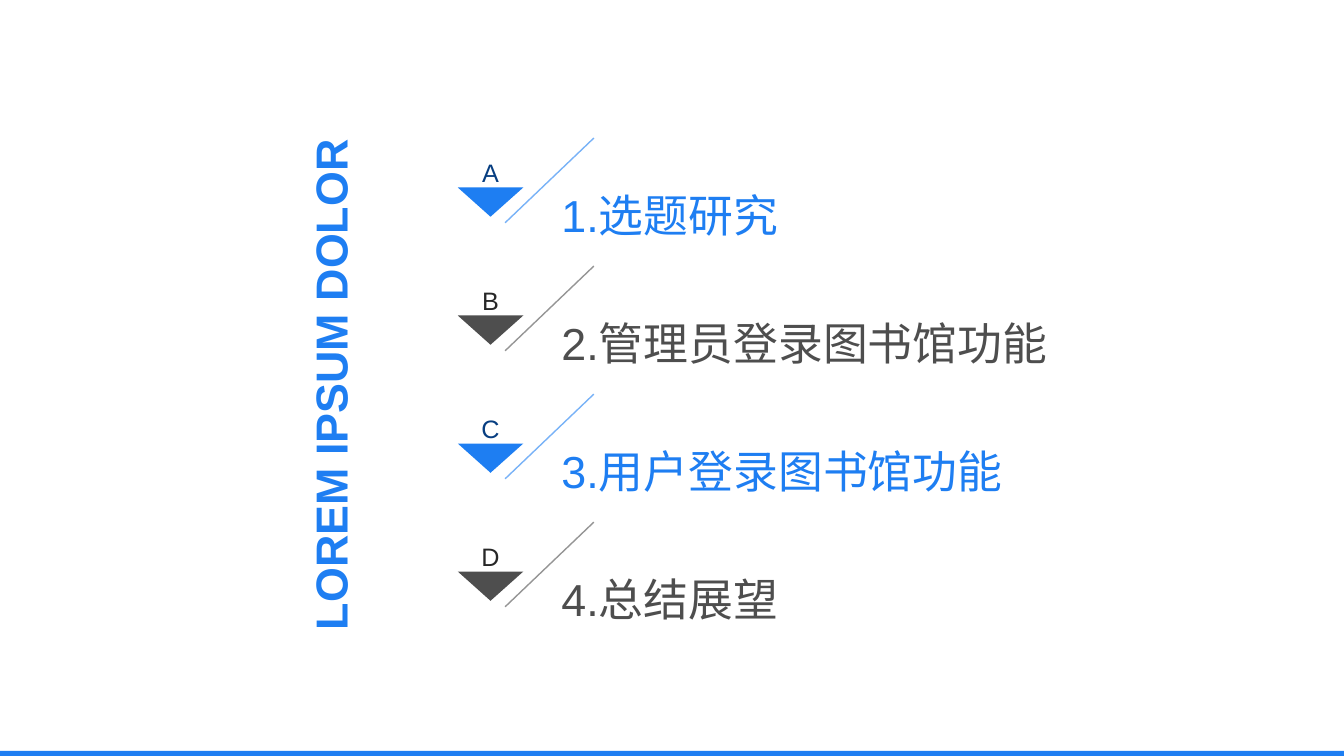
import pptx
import pptx.dml.color
import pptx.enum.shapes
import pptx.enum.text
import pptx.oxml.ns
import pptx.util
from lxml import etree

Inches = pptx.util.Inches
RGBColor = pptx.dml.color.RGBColor
PP_ALIGN = pptx.enum.text.PP_ALIGN
MSO_ANCHOR = pptx.enum.text.MSO_ANCHOR

BLUE = RGBColor(0x1E, 0x7E, 0xF2)
LIGHT_BLUE = RGBColor(0x78, 0xB2, 0xF7)
DARK_BLUE = RGBColor(0x07, 0x3E, 0x81)
GRAY = RGBColor(0x4E, 0x4E, 0x4E)
LIGHT_GRAY = RGBColor(0x95, 0x95, 0x95)
DARK_GRAY = RGBColor(0x27, 0x27, 0x27)

SCHEMES = [(BLUE, LIGHT_BLUE, DARK_BLUE), (GRAY, LIGHT_GRAY, DARK_GRAY)]
AGENDA = [
    ("A", "1.选题研究"),
    ("B", "2.管理员登录图书馆功能"),
    ("C", "3.用户登录图书馆功能"),
    ("D", "4.总结展望"),
]
ITEM_TOP = 1.19
ITEM_PITCH = 1.27


class AgendaSlide:
    """Draws the agenda elements on one slide in a shared style."""

    font = "Arial"

    def __init__(self, s):
        self.s = s

    def fill(self, sp, color):
        sp.shadow.inherit = False
        sp.fill.solid()
        sp.fill.fore_color.rgb = color
        sp.line.fill.background()

    def bar(self, left, top, width, height, color):
        sp = self.s.shapes.add_shape(
            pptx.enum.shapes.MSO_SHAPE.RECTANGLE,
            Inches(left), Inches(top), Inches(width), Inches(height))
        self.fill(sp, color)

    def text(self, shapes, box, text, size, color, align=PP_ALIGN.LEFT,
             anchor=MSO_ANCHOR.MIDDLE, bold=False, inset=True):
        sp = shapes.add_textbox(*[Inches(v) for v in box])
        tf = sp.text_frame
        tf.word_wrap = True
        tf.vertical_anchor = anchor
        if not inset:
            tf.margin_left = tf.margin_right = tf.margin_top = tf.margin_bottom = 0
        p = tf.paragraphs[0]
        p.alignment = align
        r = p.add_run()
        r.text = text
        r.font.name = self.font
        r.font.size = pptx.util.Pt(size)
        r.font.bold = bold
        r.font.color.rgb = color
        return sp

    def line(self, shapes, start, end, color):
        ends = [Inches(v) for v in start + end]
        sp = shapes.add_connector(pptx.enum.shapes.MSO_CONNECTOR.STRAIGHT, *ends)
        sp.line.color.rgb = color
        sp.line.width = pptx.util.Pt(1)
        etree.SubElement(sp._element.spPr, pptx.oxml.ns.qn("a:effectLst"))

    def triangle(self, shapes, left, top, width, height, color):
        builder = shapes.build_freeform(Inches(left), Inches(top))
        builder.add_line_segments([
            (Inches(left + width), Inches(top)),
            (Inches(left + width / 2), Inches(top + height)),
        ], close=True)
        self.fill(builder.convert_to_shape(), color)

    def item(self, top, letter, text, scheme):
        main, light, dark = scheme
        shapes = self.s.shapes.add_group_shape().shapes
        self.line(shapes, (5.89, top + 0.18), (5.01, top + 1.02), light)
        self.triangle(shapes, 4.54, top + 0.67, 0.65, 0.29, main)
        self.text(shapes, (5.47, top + 0.56, 5.69, 0.75), text, 32, main)
        self.text(shapes, (4.52, top, 0.69, 0.67), letter, 18, dark,
                  align=PP_ALIGN.CENTER, anchor=MSO_ANCHOR.BOTTOM, inset=False)


def main():
    prs = pptx.Presentation()
    prs.slide_width = Inches(13.33)
    prs.slide_height = Inches(7.5)
    agenda = AgendaSlide(prs.slides.add_slide(prs.slide_layouts[6]))
    agenda.bar(0, 7.45, 13.33, 0.05, BLUE)
    title = agenda.text(agenda.s.shapes, (-0.48, 3.04, 7.5, 1.43),
                        "LOREM IPSUM DOLOR ", 32, BLUE,
                        align=PP_ALIGN.CENTER, bold=True)
    title.rotation = 270
    for i, (letter, text) in enumerate(AGENDA):
        agenda.item(ITEM_TOP + i * ITEM_PITCH, letter, text, SCHEMES[i % 2])
    prs.save("out.pptx")


if __name__ == "__main__":
    main()
